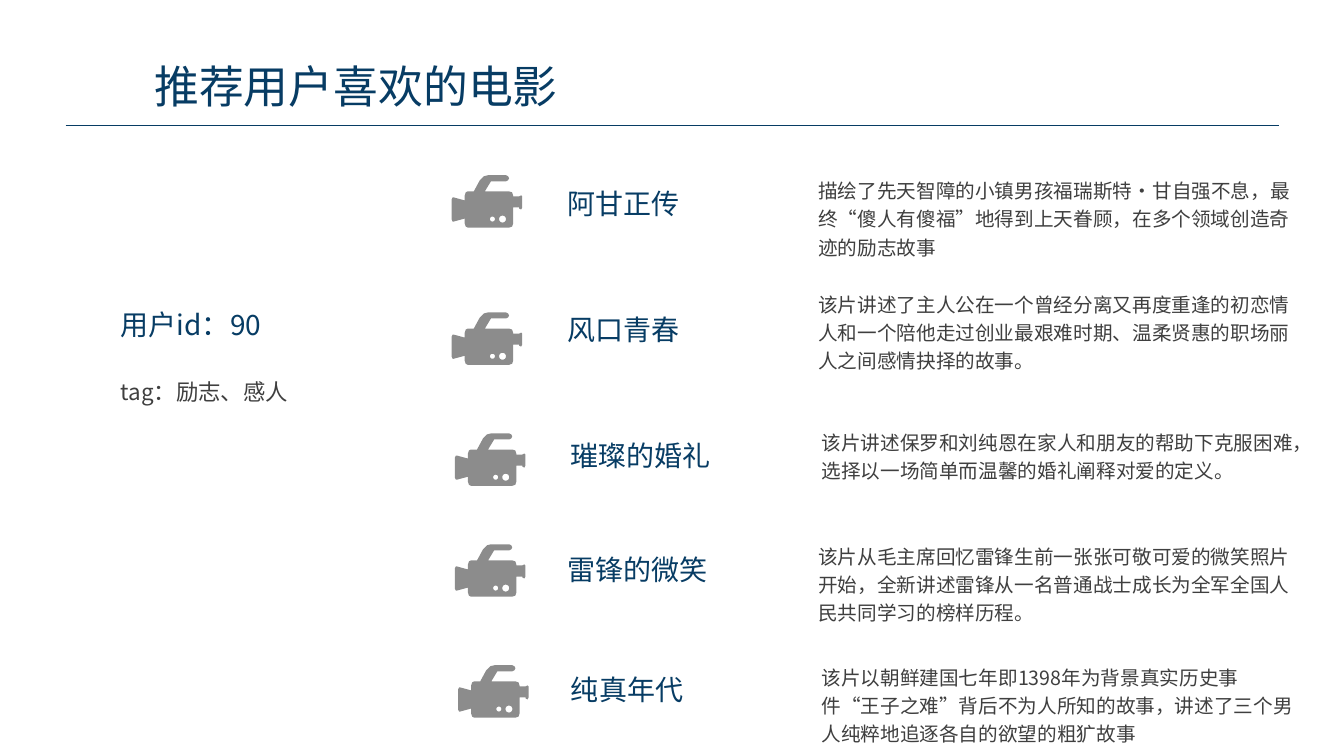
import math
from lxml import etree
from pptx import Presentation
from pptx import util as u
from pptx.dml.color import RGBColor
from pptx.enum import shapes, text
from pptx.oxml import ns

NAVY = RGBColor(0x07, 0x3C, 0x64)
DARK_GREY = RGBColor(0x3F, 0x3F, 0x3F)
ICON_GREY = RGBColor(0x8C, 0x8C, 0x8C)
HEADING_FONT = "Noto Sans CJK JP"
BODY_FONT = "Noto Sans CJK SC"

presentation = Presentation()
presentation.slide_width, presentation.slide_height = u.Pt(960), u.Pt(540)
slide = presentation.slides.add_slide(presentation.slide_layouts[5])


def write_text(shape, box, words, size, font, color, spacing=1.0, wrap=True):
    """Place a text shape and fill it with one formatted run."""
    shape.left, shape.top, shape.width, shape.height = [u.Pt(value) for value in box]
    frame = shape.text_frame
    frame.word_wrap = wrap
    frame.auto_size = text.MSO_AUTO_SIZE.SHAPE_TO_FIT_TEXT
    frame.vertical_anchor = text.MSO_ANCHOR.TOP
    paragraph = frame.paragraphs[0]
    paragraph.alignment = text.PP_ALIGN.LEFT
    paragraph.line_spacing = spacing
    run = paragraph.add_run()
    run.text = words
    run.font.size = u.Pt(size)
    run.font.name = font
    run.font.color.rgb = color
    properties = run._r.get_or_add_rPr()
    properties.set("lang", "zh-CN")
    etree.SubElement(properties, ns.qn("a:ea")).set("typeface", font)


def add_text(*details, **options):
    write_text(slide.shapes.add_textbox(0, 0, 0, 0), *details, **options)


# Title and the rule below it
write_text(slide.shapes.title, (103, 38.2, 342.7, 46), "推荐用户喜欢的电影",
           32, HEADING_FONT, NAVY)
rule = slide.shapes.add_connector(shapes.MSO_CONNECTOR.STRAIGHT,
                                  u.Pt(46.8), u.Pt(89.3), u.Pt(913.7), u.Pt(89.3))
rule.line.color.rgb = NAVY
rule.line.width = u.Pt(0.5)
etree.SubElement(rule._element.spPr, ns.qn("a:effectLst"))

# User and tags
add_text((79.2, 216, 117.4, 31.5), "用户id：90", 20, HEADING_FONT, NAVY)
add_text((79.2, 262.8, 256.3, 29), "tag：励志、感人", 16, BODY_FONT, DARK_GREY, spacing=1.2)

# Camera outline and its two round holes, in hundredths of an inch
CAMERA = [(69, 20), (67, 21), (61, 21), (61, 20), (60, 17), (57, 16), (33, 16),
          (39, 6), (54, 6), (56, 5), (57, 3), (56, 1), (54, 0), (36, 0), (32, 1),
          (28, 5), (22, 16), (16, 16), (14, 17), (13, 20), (13, 25), (2, 22),
          (1, 22), (0, 24), (0, 44), (1, 46), (2, 46), (13, 43), (13, 48),
          (14, 51), (16, 52), (57, 52), (60, 51), (61, 48), (61, 32), (67, 32),
          (67, 33), (69, 34), (70, 32), (70, 21)]
contours = [CAMERA]
for center_x, radius in [(40.5, 2.5), (50.5, 3.5)]:
    angles = [math.tau * step / 16 for step in range(16)]
    contours.append([(center_x + radius * math.cos(angle), 43.5 - radius * math.sin(angle))
                     for angle in angles])
contours = [[(x * 10, y * 10) for x, y in contour] for contour in contours]

# Films: shift of icon, name and story; their tops; name; story
FILMS = [
    ((0, 0, 0), (125.2, 129.6, 121), "阿甘正传",
     "描绘了先天智障的小镇男孩福瑞斯特·甘自强不息，最终“傻人有傻福”地得到上天眷顾，"
     "在多个领域创造奇迹的励志故事"),
    ((0, 0, 0), (223.2, 219.6, 202.4), "风口青春",
     "该片讲述了主人公在一个曾经分离又再度重逢的初恋情人和一个陪他走过创业最艰难时期、"
     "温柔贤惠的职场丽人之间感情抉择的故事。"),
    ((2.3, 2.3, 2.3), (309.6, 309.6, 301), "璀璨的婚礼",
     "该片讲述保罗和刘纯恩在家人和朋友的帮助下克服困难，"
     "选择以一场简单而温馨的婚礼阐释对爱的定义。"),
    ((2.3, 0, 0), (388.8, 391, 382.3), "雷锋的微笑",
     "该片从毛主席回忆雷锋生前一张张可敬可爱的微笑照片开始，"
     "全新讲述雷锋从一名普通战士成长为全军全国人民共同学习的榜样历程。"),
    ((4.6, 2.6, 2.3), (475.2, 476.6, 468.7), "纯真年代",
     "该片以朝鲜建国七年即1398年为背景真实历史事件“王子之难”背后不为人所知的故事，"
     "讲述了三个男人纯粹地追逐各自的欲望的粗犷故事"),
]
for shifts, tops, name, story in FILMS:
    icon_left, name_left, story_left = [
        left + shift for left, shift in zip((322.6, 398.2, 577.4), shifts)]
    icon_top, name_top, story_top = tops

    builder = slide.shapes.build_freeform(*contours[0][0], scale=u.Pt(0.072))
    builder.add_line_segments(contours[0][1:], close=True)
    for hole in contours[1:]:
        builder.move_to(*hole[0])
        builder.add_line_segments(hole[1:], close=True)
    camera = builder.convert_to_shape(u.Pt(icon_left), u.Pt(icon_top))
    camera.fill.solid()
    camera.fill.fore_color.rgb = ICON_GREY
    camera.line.fill.background()
    camera.shadow.inherit = False

    add_text((name_left, name_top, 20 * len(name) + 14.8, 31.5), name,
             20, HEADING_FONT, NAVY, wrap=False)
    add_text((story_left, story_top, 354.2, 67), story,
             14, BODY_FONT, DARK_GREY, spacing=1.2)

presentation.save("out.pptx")
